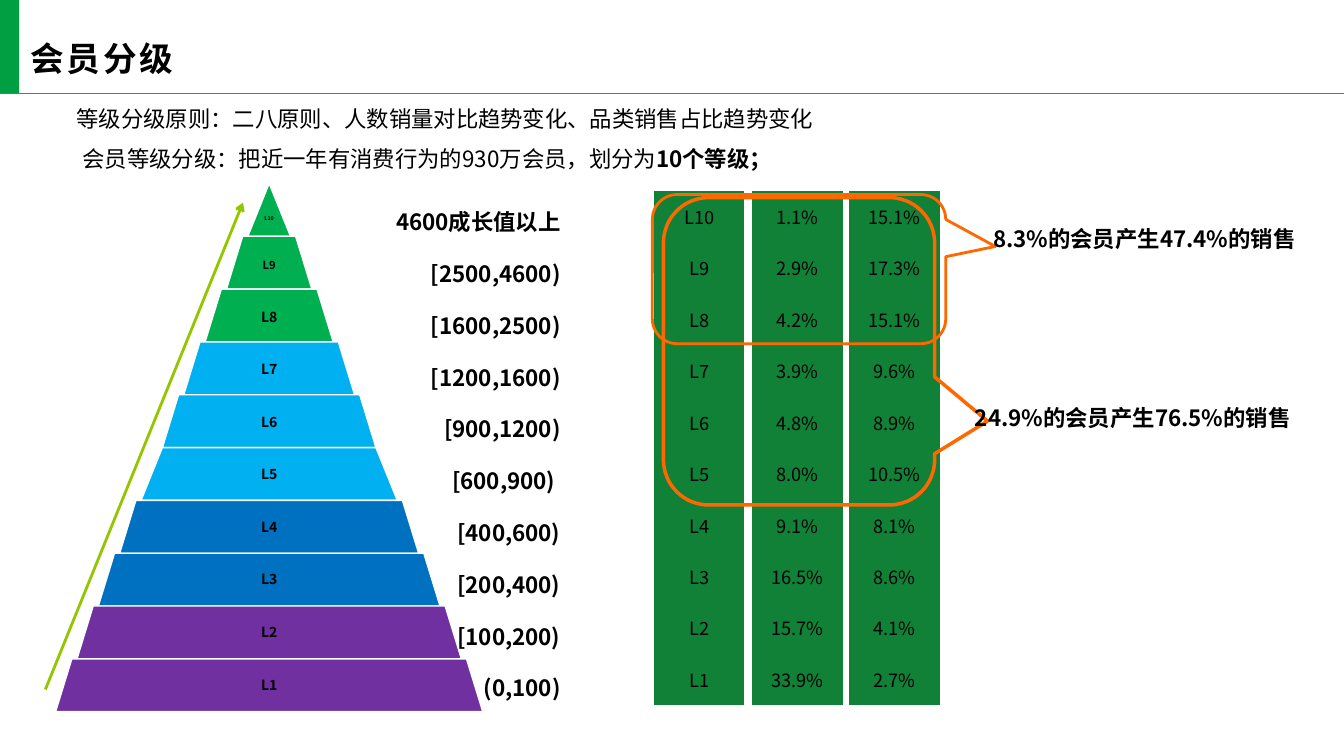
from typing import NamedTuple

from lxml import etree
from pptx import Presentation
from pptx.dml.color import RGBColor
from pptx.enum.shapes import MSO_CONNECTOR, MSO_SHAPE
from pptx.enum.text import MSO_ANCHOR, MSO_AUTO_SIZE, PP_ALIGN
from pptx.oxml.ns import qn
from pptx.util import Inches, Pt

RECT, TRAP = MSO_SHAPE.RECTANGLE, MSO_SHAPE.TRAPEZOID
CALL = MSO_SHAPE.ROUNDED_RECTANGULAR_CALLOUT
STRAIGHT = MSO_CONNECTOR.STRAIGHT
MIDDLE, TOP = MSO_ANCHOR.MIDDLE, MSO_ANCHOR.TOP
LEFT, CENTER, RIGHT = PP_ALIGN.LEFT, PP_ALIGN.CENTER, PP_ALIGN.RIGHT
GROW = MSO_AUTO_SIZE.SHAPE_TO_FIT_TEXT
NO_STYLE = "{2D5ABB26-0587-4C30-8999-92F81FD0307C}"
FACE = "Noto Sans CJK SC"


class Tier(NamedTuple):
    name: str
    span: str
    share: str
    sales: str
    fill: str
    size: float = 10
    slant: float = 0.307


class Column(NamedTuple):
    left: float
    width: float
    field: str


class Callout(NamedTuple):
    box: tuple
    adjust: tuple
    weight: float
    note: tuple
    text: str


TIERS = [
    Tier("L10", "4600成长值以上", "1.1%", "15.1%", "00B050", 3.8, 0.5),
    Tier("L9", "[2500,4600)", "2.9%", "17.3%", "00B050", 8),
    Tier("L8", "[1600,2500)", "4.2%", "15.1%", "00B050"),
    Tier("L7", "[1200,1600)", "3.9%", "9.6%", "00B0F0"),
    Tier("L6", "[900,1200)", "4.8%", "8.9%", "00B0F0"),
    Tier("L5", "[600,900) ", "8.0%", "10.5%", "00B0F0", slant=0.404),
    Tier("L4", "[400,600)", "9.1%", "8.1%", "0070C0"),
    Tier("L3", "[200,400)", "16.5%", "8.6%", "0070C0"),
    Tier("L2", "[100,200)", "15.7%", "4.1%", "7030A0"),
    Tier("L1", "(0,100)", "33.9%", "2.7%", "7030A0"),
]
COLUMNS = [Column(7.46, 0.9, "share"), Column(6.49, 0.89, "name"), Column(8.42, 0.9, "sales")]
CALLOUTS = [
    Callout((6.47, 1.93, 2.91, 1.48), (0.669, -0.152, 0.167), 2,
            (9.76, 2.05, 3.57, 0.5), "8.3%的会员产生47.4%的销售"),
    Callout((6.58, 1.96, 2.69, 3.05), (0.695, 0.227, 0.167), 2.5,
            (9.58, 3.83, 3.66, 0.5), "24.9%的会员产生76.5%的销售"),
]


def rgb(code: str) -> RGBColor:
    return RGBColor.from_string(code)


def place(shape, box: tuple) -> None:
    shape.left, shape.top, shape.width, shape.height = map(Inches, box)


def style(run, size: float, bold: bool = False) -> None:
    font = run.font
    font.size, font.bold, font.name = Pt(size), bold, FACE
    font.color.rgb = rgb("000000")
    latin = font.element.rPr.find(qn("a:latin")) if hasattr(font, "element") else run._r.rPr.find(qn("a:latin"))
    east = etree.Element(qn("a:ea"), typeface=FACE)
    latin.addnext(east)


def dress(frame, size: float, bold: bool = False, align=LEFT, space=None) -> None:
    for para in frame.paragraphs:
        para.alignment = align
        if space:
            para.line_spacing = space
        for run in para.runs:
            style(run, size, bold)


def inset(frame, side: float, edge: float, anchor=TOP) -> None:
    frame.margin_left = frame.margin_right = Inches(side)
    frame.margin_top = frame.margin_bottom = Inches(edge)
    frame.vertical_anchor, frame.word_wrap = anchor, True


def add_text(slide, box: tuple, text: str, pad: tuple, bold: bool = False, space=None):
    frame = slide.shapes.add_textbox(*map(Inches, box)).text_frame
    frame.text = text
    inset(frame, *pad)
    frame.auto_size = GROW
    dress(frame, 16, bold, space=space)
    return frame


def add_block(slide, kind, box: tuple, fill: str = "", line: str = "", weight: float = 1):
    shape = slide.shapes.add_shape(kind, *map(Inches, box))
    shape.shadow.inherit = False
    if fill:
        shape.fill.solid()
        shape.fill.fore_color.rgb = rgb(fill)
    else:
        shape.fill.background()
    if line:
        shape.line.color.rgb = rgb(line)
        shape.line.width = Pt(weight)
    else:
        shape.line.fill.background()
    return shape


def add_line(slide, ends: tuple, color: str, weight: float, arrow: bool = False) -> None:
    line = slide.shapes.add_connector(STRAIGHT, *map(Inches, ends))
    line.line.color.rgb = rgb(color)
    line.line.width = Pt(weight)
    if arrow:
        etree.SubElement(line.line._get_or_add_ln(), qn("a:tailEnd"), type="arrow")
    etree.SubElement(line.element.spPr, qn("a:effectLst"))


def add_tier(slide, rank: int, tier: Tier) -> None:
    width, step = 0.4236 * (rank + 1), 0.524
    box = (2.67 - width / 2, 1.82 + rank * step, width, step)
    shape = add_block(slide, TRAP, box, tier.fill, "FFFFFF")
    shape.adjustments[0] = tier.slant
    shape.text_frame.text = tier.name
    inset(shape.text_frame, 0.01, 0.01, MIDDLE)
    dress(shape.text_frame, tier.size, True, CENTER, 0.9)


def add_column(slide, col: Column) -> None:
    box = (col.left, 1.89, col.width, 5.11)
    frame = slide.shapes.add_table(len(TIERS), 1, *map(Inches, box))
    for mark in frame.element.iter(qn("a:tableStyleId")):
        mark.text = NO_STYLE
    for cell, tier in zip(frame.table.iter_cells(), TIERS):
        cell.text = getattr(tier, col.field)
        cell.fill.solid()
        cell.fill.fore_color.rgb = rgb("108136")
        cell.margin_left = cell.margin_right = cell.margin_top = cell.margin_bottom = 0
        cell.vertical_anchor = MIDDLE
        dress(cell.text_frame, 13, align=CENTER)


def add_spans(body) -> None:
    place(body, (3.26, 1.77, 2.39, 5.28))
    frame = body.text_frame
    frame.text = "\n".join(tier.span for tier in TIERS)
    inset(frame, 0.09, 0.05)
    frame.auto_size = GROW
    for para in frame.paragraphs:
        props = para._p.get_or_add_pPr()
        props.set("marL", "0")
        props.set("indent", "0")
        etree.SubElement(props, qn("a:buNone"))
        para.space_before = Pt(0)
    dress(frame, 16, True, RIGHT, Pt(37))
    body.element.getparent().append(body.element)


def main() -> None:
    deck = Presentation()
    deck.slide_width, deck.slide_height = Inches(13.33), Inches(7.5)
    slide = deck.slides.add_slide(deck.slide_layouts[1])
    title, body = slide.placeholders

    # Heading
    add_block(slide, RECT, (0, 0, 0.19, 0.93), "029E42")
    add_line(slide, (0, 0.93, 13.33, 0.93), "00B050", 1)
    place(title, (0.19, 0.22, 5.88, 0.71))
    title.text_frame.text = "会员分级"
    inset(title.text_frame, 0.11, 0.04, MIDDLE)
    dress(title.text_frame, 24, True)
    title.text_frame.paragraphs[0].runs[0]._r.rPr.set("spc", "200")

    # Principles
    add_text(slide, (0.63, 0.97, 12.6, 0.4),
             "等级分级原则：二八原则、人数销量对比趋势变化、品类销售占比趋势变化", (0.13, 0.07))
    rule = add_text(slide, (0.69, 1.37, 12.6, 0.4),
                    "会员等级分级：把近一年有消费行为的930万会员，划分为", (0.13, 0.07))
    count = rule.paragraphs[0].add_run()
    count.text = "10个等级；"
    style(count, 16, True)

    # Pyramid with growth ranges
    for rank, tier in enumerate(TIERS):
        add_tier(slide, rank, tier)
    add_line(slide, (0.45, 6.84, 2.41, 2.01), "94C600", 2, arrow=True)
    add_spans(body)

    # Shares and callouts
    for col in COLUMNS:
        add_column(slide, col)
    for call in CALLOUTS:
        shape = add_block(slide, CALL, call.box, line="FF6700", weight=call.weight)
        for spot, value in enumerate(call.adjust):
            shape.adjustments[spot] = value
        add_text(slide, call.note, call.text, (0.09, 0.05), True, 1.5)

    deck.save("out.pptx")


if __name__ == "__main__":
    main()
